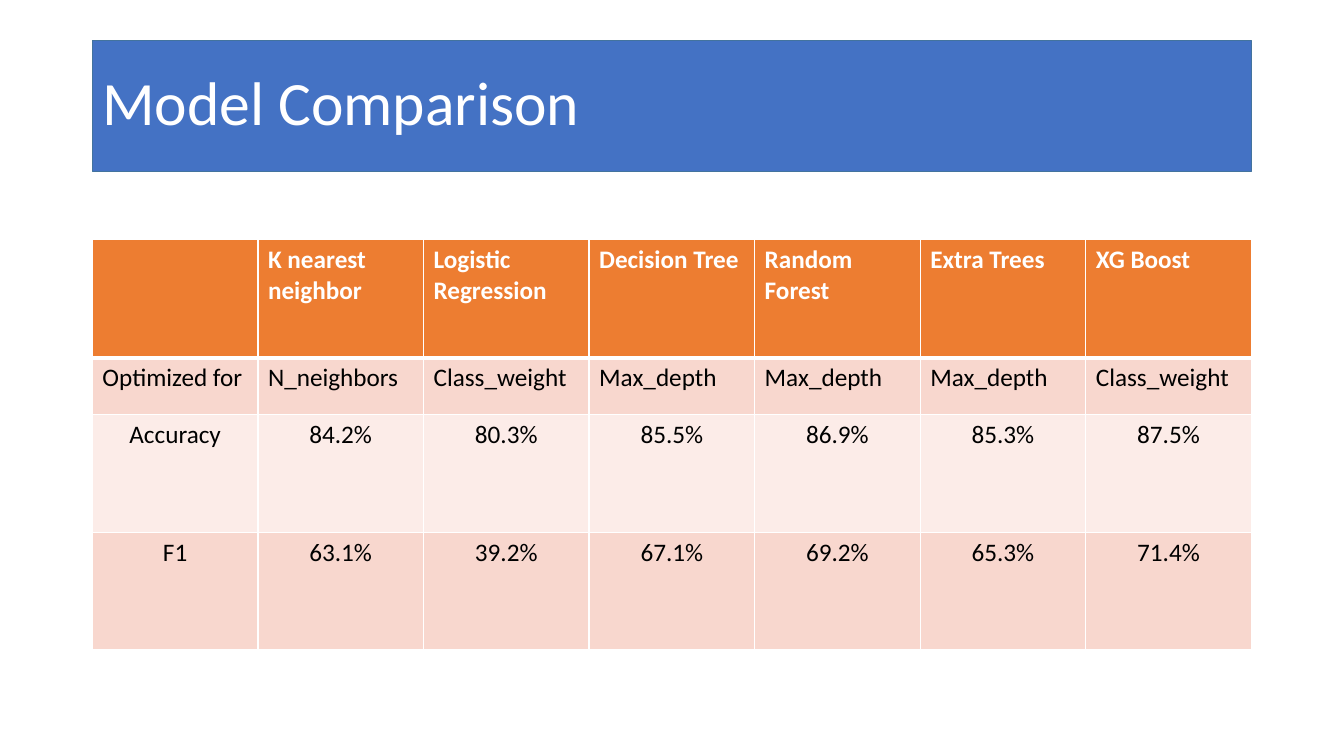
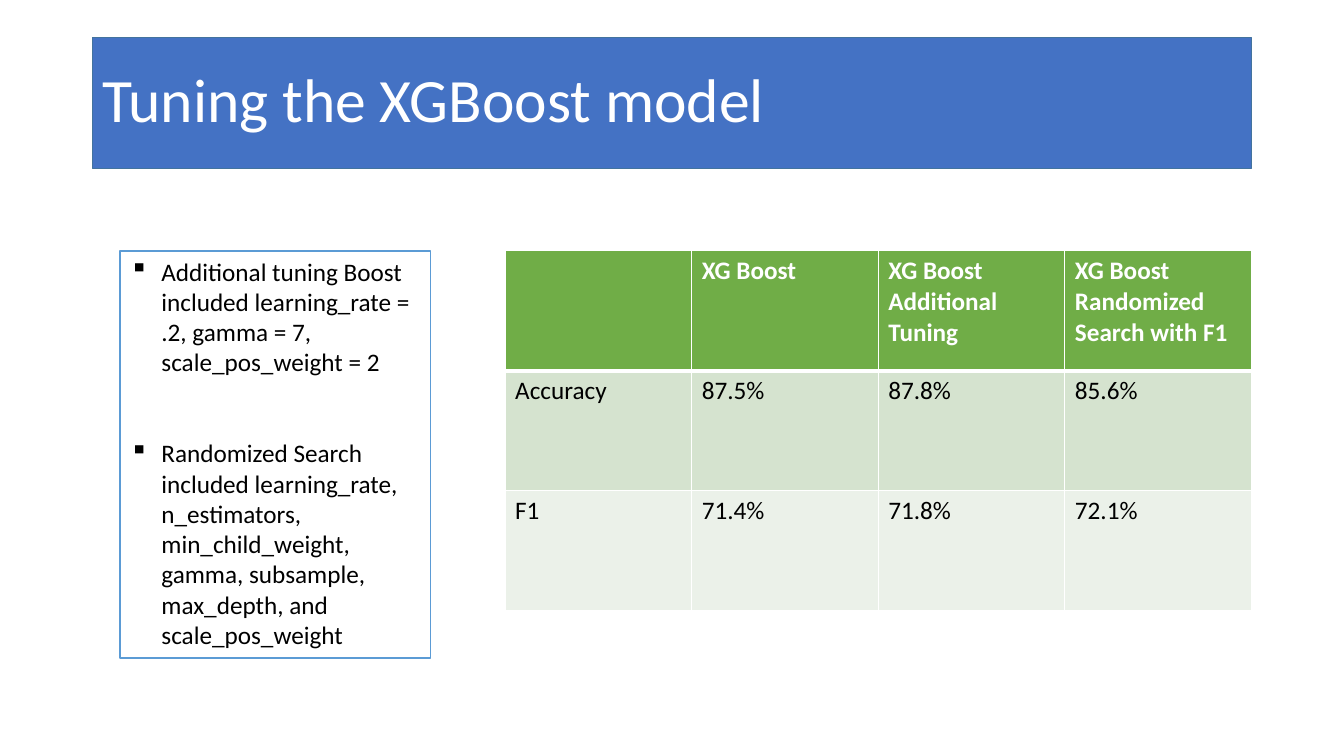
from dataclasses import dataclass

from lxml.etree import SubElement
from pptx import Presentation
from pptx.dml.color import RGBColor as RGB
from pptx.enum.shapes import MSO_SHAPE as SHAPE
from pptx.enum.text import MSO_ANCHOR as ANCHOR, PP_ALIGN as ALIGN
from pptx.oxml.ns import qn
from pptx.util import Pt


@dataclass(frozen=True)
class Theme:
    font: str = "Calibri"
    title_size: int = 44
    body_size: int = 18
    band: str = "4472C4"
    band_line: str = "43739E"
    box_line: str = "5B9BD5"
    white: str = "FFFFFF"
    black: str = "000000"
    # Table palettes: header, odd rows, even rows
    orange: tuple = ("ED7D31", "F8D7CE", "FCECE8")
    green: tuple = ("70AD47", "D5E3CF", "EBF1E9")
    left: float = 66
    width: float = 828


class Deck:
    def __init__(self, theme):
        self.theme = theme
        self.prs = Presentation()
        self.prs.slide_width, self.prs.slide_height = Pt(960), Pt(540)
        self.s = None

    def slide(self, title, top):
        """Start a slide with its title band."""
        t = self.theme
        self.s = self.prs.slides.add_slide(self.prs.slide_layouts[6])
        tf = self.rect(t.left, top, t.width, 93.6, t.band, t.band_line)
        tf.vertical_anchor = ANCHOR.MIDDLE
        p = tf.paragraphs[0]
        p.text = title
        p.line_spacing = 0.9
        self.style(p, t.title_size, t.white)

    def rect(self, x, y, w, h, fill, line):
        sp = self.s.shapes.add_shape(SHAPE.RECTANGLE, Pt(x), Pt(y), Pt(w), Pt(h))
        sp.shadow.inherit = False
        sp.fill.solid()
        sp.fill.fore_color.rgb = RGB.from_string(fill)
        sp.line.color.rgb = RGB.from_string(line)
        sp.line.width = Pt(1)
        sp.text_frame.word_wrap = True
        return sp.text_frame

    def style(self, p, size, color, bold=False, align=ALIGN.LEFT):
        p.alignment = align
        for r in p.runs:
            r.font.name, r.font.size, r.font.bold = self.theme.font, Pt(size), bold
            r.font.color.rgb = RGB.from_string(color)

    def bullets(self, x, y, w, h, items, gap):
        t = self.theme
        tf = self.rect(x, y, w, h, t.white, t.box_line)
        tf.vertical_anchor = ANCHOR.TOP
        tf.text = "\n".join(items)
        for i, p in enumerate(tf.paragraphs):
            self.style(p, t.body_size, t.black)
            p.space_before = Pt(gap if i else 0)
            # Square bullet with a hanging indent
            pPr = p._p.get_or_add_pPr()
            pPr.set("marL", str(Pt(22.5)))
            pPr.set("indent", str(-Pt(22.5)))
            SubElement(pPr, qn("a:buChar"), char="▪")

    def borders(self, cell, top, bottom):
        tcPr = cell._tc.get_or_add_tcPr()
        for side, width in zip("LRTB", (1, 1, top, bottom)):
            ln = SubElement(tcPr, qn(f"a:ln{side}"), w=str(Pt(width)))
            fill = SubElement(ln, qn("a:solidFill"))
            SubElement(fill, qn("a:srgbClr"), val=self.theme.white)

    def table(self, x, y, w, heights, rows, palette, centred=()):
        t = self.theme
        n = len(rows[0])
        tbl = self.s.shapes.add_table(
            len(rows), n, Pt(x), Pt(y), Pt(w), Pt(sum(heights))).table
        for col in tbl.columns:
            col.width = Pt(w / n)
        for i, (row, height) in enumerate(zip(rows, heights)):
            tbl.rows[i].height = Pt(height)
            head = i == 0
            shade = palette[0] if head else palette[2 - i % 2]
            for j, text in enumerate(row):
                cell = tbl.cell(i, j)
                # Heavier rule under the header
                self.borders(cell, 3 if i == 1 else 1, 3 if head else 1)
                cell.fill.solid()
                cell.fill.fore_color.rgb = RGB.from_string(shade)
                cell.text_frame.text = text
                self.style(cell.text_frame.paragraphs[0], t.body_size,
                           t.white if head else t.black, head,
                           ALIGN.CENTER if i in centred else ALIGN.LEFT)


def main():
    theme = Theme()
    deck = Deck(theme)

    # Model comparison
    deck.slide("Model Comparison", 28.8)
    deck.table(theme.left, 171.3, theme.width, (84.2, 40.4, 84.2, 84.2), [
        ("", "K nearest neighbor", "Logistic Regression", "Decision Tree",
         "Random Forest", "Extra Trees", "XG Boost"),
        ("Optimized for", "N_neighbors", "Class_weight", "Max_depth",
         "Max_depth", "Max_depth", "Class_weight"),
        ("Accuracy", "84.2%", "80.3%", "85.5%", "86.9%", "85.3%", "87.5%"),
        ("F1", "63.1%", "39.2%", "67.1%", "69.2%", "65.3%", "71.4%"),
    ], theme.orange, centred=(2, 3))

    # Tuning
    deck.slide("Tuning the XGBoost model", 26.7)
    deck.bullets(85.7, 179.2, 221.8, 290.9, [
        "Additional tuning Boost included learning_rate = .2, gamma = 7, "
        "scale_pos_weight = 2",
        "Randomized Search included learning_rate, n_estimators, "
        "min_child_weight, gamma, subsample, max_depth, and scale_pos_weight",
    ], gap=43.5)
    deck.table(360.8, 179.2, 533.2, (85.7,) * 3, [
        ("", "XG Boost", "XG Boost Additional Tuning",
         "XG Boost Randomized Search with F1"),
        ("Accuracy", "87.5%", "87.8%", "85.6%"),
        ("F1", "71.4%", "71.8%", "72.1%"),
    ], theme.green)

    deck.prs.save("out.pptx")


if __name__ == "__main__":
    main()
